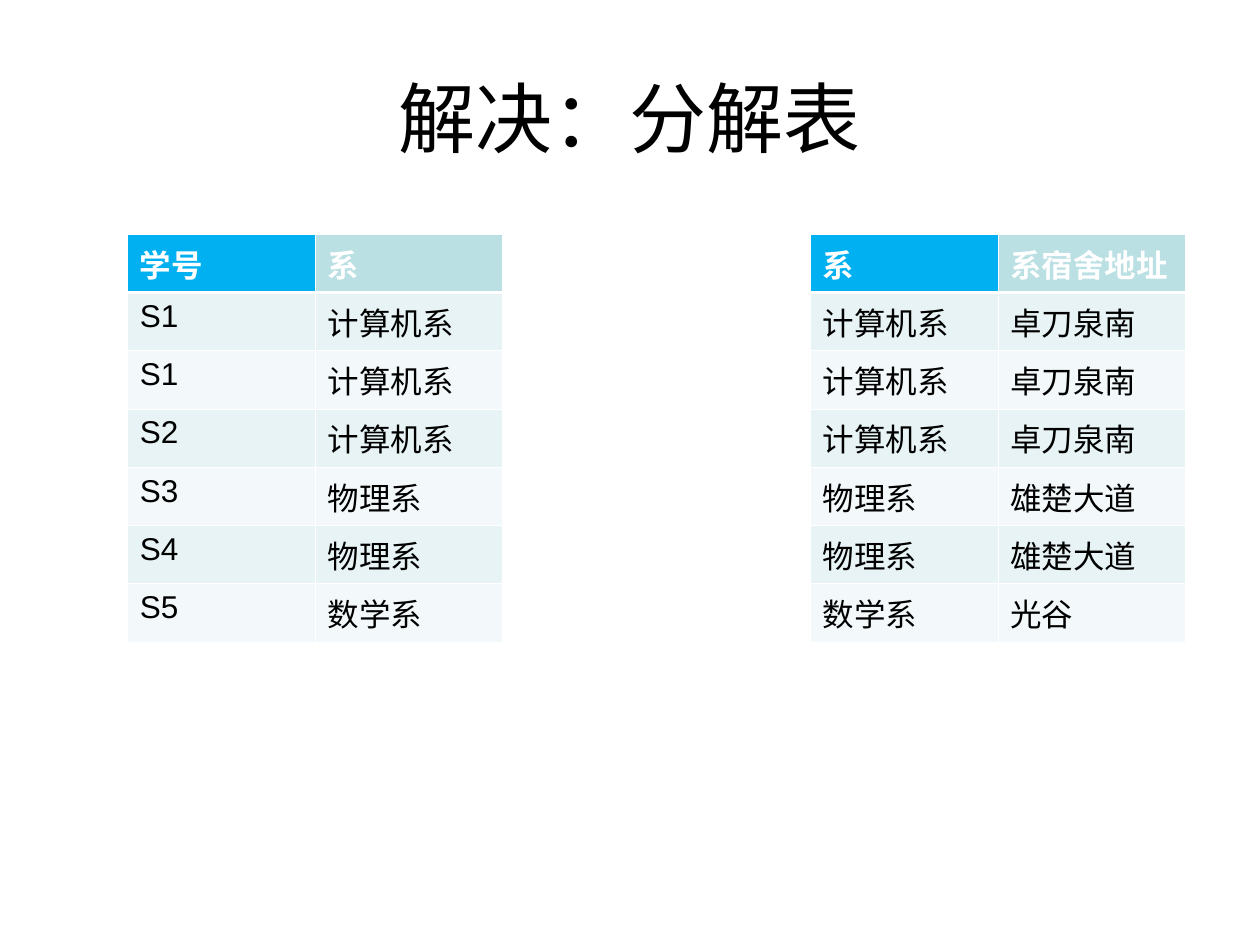
from dataclasses import dataclass

from lxml import etree
from pptx import Presentation
from pptx.dml.color import RGBColor
from pptx.enum.text import MSO_ANCHOR, PP_ALIGN
from pptx.oxml.ns import qn
from pptx.util import Inches, Pt

CENTER = PP_ALIGN.CENTER
MIDDLE = MSO_ANCHOR.MIDDLE
TITLE_ONLY = 5


@dataclass(frozen=True)
class Theme:
    font: str = "Arial"
    title_size: int = 44
    cell_size: int = 18
    text: str = "000000"
    header_text: str = "FFFFFF"
    key_header: str = "00B0F0"
    header: str = "BBE0E3"
    bands: tuple = ("E7F3F4", "F3F9FA")
    border: str = "FFFFFF"
    thin: float = 0.45
    thick: float = 1.47


THEME = Theme()
TABLE_TOP = 1.86
COL_WIDTH = 1.49
ROW_HEIGHT = 0.42

STUDENT_TABLE = [
    ("学号", "系"),
    ("S1", "计算机系"),
    ("S1", "计算机系"),
    ("S2", "计算机系"),
    ("S3", "物理系"),
    ("S4", "物理系"),
    ("S5", "数学系"),
]
DORM_TABLE = [
    ("系", "系宿舍地址"),
    ("计算机系", "卓刀泉南"),
    ("计算机系", "卓刀泉南"),
    ("计算机系", "卓刀泉南"),
    ("物理系", "雄楚大道"),
    ("物理系", "雄楚大道"),
    ("数学系", "光谷"),
]


def style_text(p, size, color, bold=False):
    for r in p.runs:
        r.font.name = THEME.font
        r.font.size = Pt(size)
        r.font.bold = bold
        r.font.color.rgb = RGBColor.from_string(color)


def add_title(slide, text):
    sp = slide.shapes.title
    sp.left, sp.top = Inches(0.5), Inches(0.3)
    sp.width, sp.height = Inches(9), Inches(1.25)
    tf = sp.text_frame
    tf.text = text
    tf.vertical_anchor = MIDDLE
    p = tf.paragraphs[0]
    p.alignment = CENTER
    style_text(p, THEME.title_size, THEME.text)


def set_borders(cell, row):
    """Thin lines all round, with a thick rule under the header row."""
    widths = {
        "a:lnL": THEME.thin,
        "a:lnR": THEME.thin,
        "a:lnT": THEME.thick if row == 1 else THEME.thin,
        "a:lnB": THEME.thick if row == 0 else THEME.thin,
    }
    tc_pr = cell._tc.get_or_add_tcPr()
    for tag, width in widths.items():
        ln = etree.SubElement(tc_pr, qn(tag), w=str(Pt(width)))
        fill = etree.SubElement(ln, qn("a:solidFill"))
        etree.SubElement(fill, qn("a:srgbClr"), val=THEME.border)


def cell_fill(row, col):
    if row == 0:
        return THEME.key_header if col == 0 else THEME.header
    return THEME.bands[(row - 1) % 2]


def add_data_table(slide, left, rows):
    n_rows, n_cols = len(rows), len(rows[0])
    table = slide.shapes.add_table(
        n_rows, n_cols, Inches(left), Inches(TABLE_TOP),
        Inches(COL_WIDTH * n_cols), Inches(ROW_HEIGHT * n_rows)).table
    for i, values in enumerate(rows):
        for j, value in enumerate(values):
            cell = table.cell(i, j)
            set_borders(cell, i)
            cell.fill.solid()
            cell.fill.fore_color.rgb = RGBColor.from_string(cell_fill(i, j))
            cell.text_frame.text = value
            color = THEME.header_text if i == 0 else THEME.text
            style_text(cell.text_frame.paragraphs[0], THEME.cell_size,
                       color, bold=i == 0)


def main():
    prs = Presentation()
    prs.slide_width, prs.slide_height = Inches(10), Inches(7.5)
    slide = prs.slides.add_slide(prs.slide_layouts[TITLE_ONLY])

    # Title
    add_title(slide, "解决：分解表")

    # The two decomposed tables
    add_data_table(slide, 1.01, STUDENT_TABLE)
    add_data_table(slide, 6.43, DORM_TABLE)

    prs.save("out.pptx")


if __name__ == "__main__":
    main()
